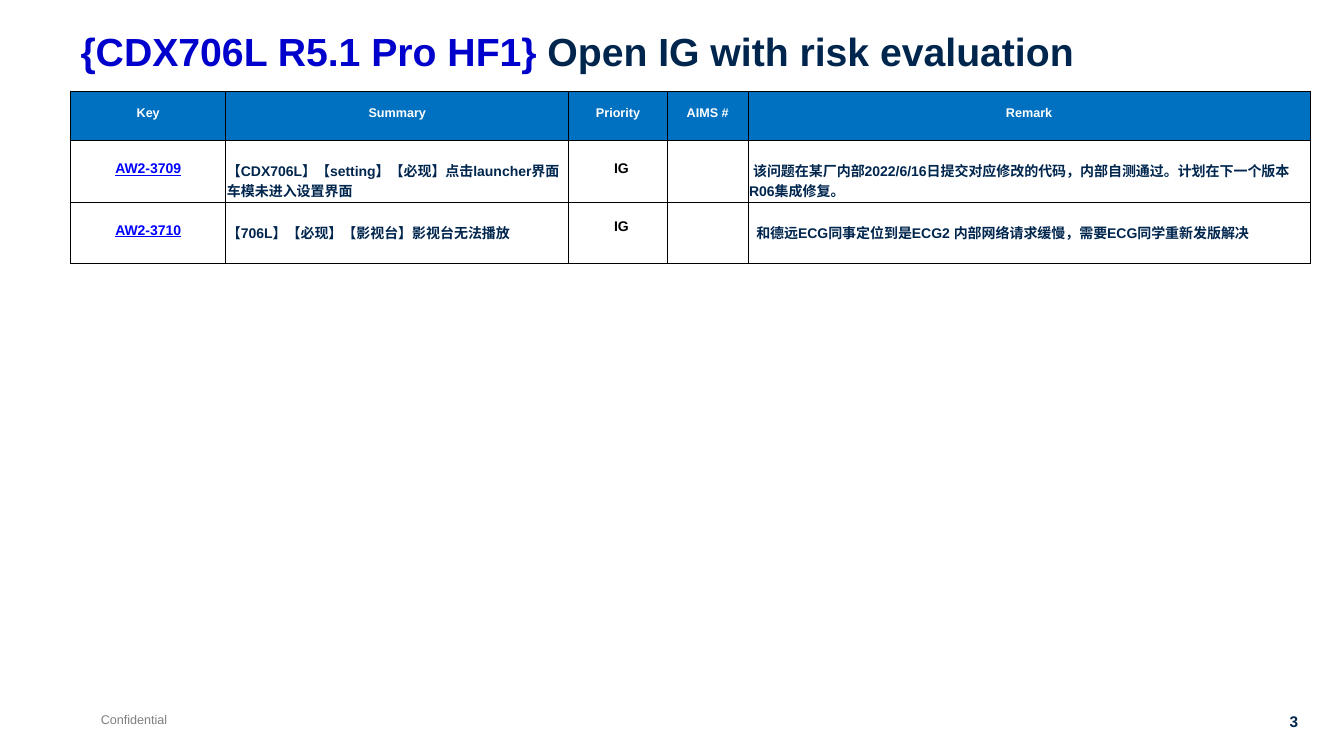
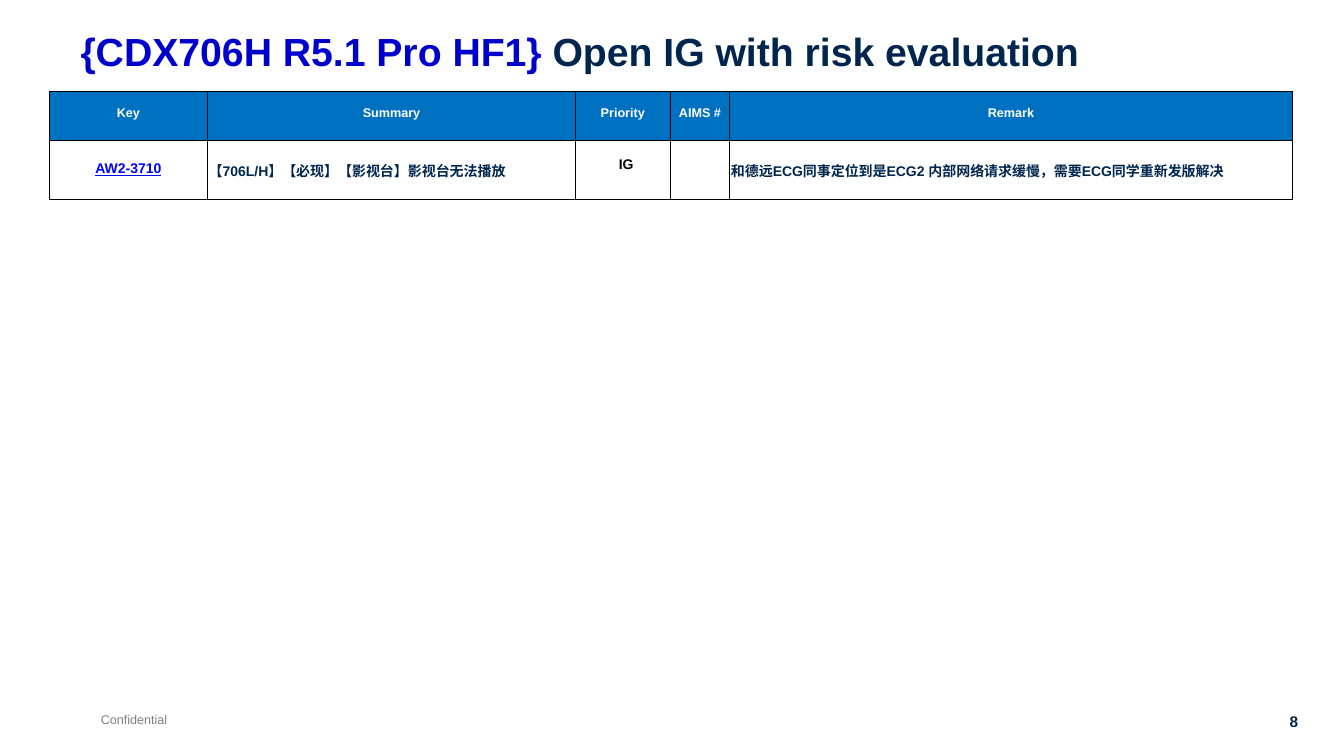
from lxml import etree
from pptx import Presentation
from pptx.dml.color import RGBColor
from pptx.enum.text import PP_ALIGN
from pptx.oxml.ns import qn
from pptx.util import Cm, Pt

LEFT, CENTER, RIGHT = PP_ALIGN.LEFT, PP_ALIGN.CENTER, PP_ALIGN.RIGHT
NAVY = RGBColor(0x00, 0x26, 0x4E)
TITLE_BLUE = RGBColor(0x00, 0x00, 0xCC)
HEADER_BLUE = RGBColor(0x00, 0x70, 0xC0)
LINK_BLUE = RGBColor(0x00, 0x00, 0xFF)
GREY = RGBColor(0x80, 0x80, 0x80)
WHITE = RGBColor(0xFF, 0xFF, 0xFF)
BLACK = RGBColor(0x00, 0x00, 0x00)
FONT = "Arial"

TITLE = "Open IG with risk evaluation"
FOOTER = "Confidential"
HEADERS = ["Key", "Summary", "Priority", "AIMS #", "Remark"]
TABLE_TOP = 2.31

# Lengths in cm; an issue's "ig_top" and "indent" place its priority and remark
SLIDES = [
    {
        "release": "{CDX706L R5.1 Pro HF1}",
        "page": 3,
        "left": 1.78,
        "cols": [3.91, 8.64, 2.49, 2.03, 14.17],
        "rows": [1.23, 1.56, 1.54],
        "issues": [
            {
                "cells": [
                    "AW2-3709",
                    "【CDX706L】【setting】【必现】点击launcher界面车模未进入设置界面",
                    "IG",
                    "",
                    "该问题在某厂内部2022/6/16日提交对应修改的代码，内部自测通过。计划在下一个版本R06集成修复。",
                ],
                "ig_top": 0.51,
                "indent": 0.1,
            },
            {
                "cells": [
                    "AW2-3710",
                    "【706L】【必现】【影视台】影视台无法播放",
                    "IG",
                    "",
                    "和德远ECG同事定位到是ECG2 内部网络请求缓慢，需要ECG同学重新发版解决",
                ],
                "ig_top": 0.41,
                "indent": 0.18,
            },
        ],
    },
    {
        "release": "{CDX706H R5.1 Pro HF1}",
        "page": 8,
        "left": 1.24,
        "cols": [3.99, 9.27, 2.39, 1.5, 14.17],
        "rows": [1.23, 1.49],
        "issues": [
            {
                "cells": [
                    "AW2-3710",
                    "【706L/H】【必现】【影视台】影视台无法播放",
                    "IG",
                    "",
                    "和德远ECG同事定位到是ECG2 内部网络请求缓慢，需要ECG同学重新发版解决",
                ],
                "ig_top": 0.41,
                "indent": 0,
            },
        ],
    },
]


def style(p, size, color, bold=True, align=LEFT):
    p.alignment = align
    p.font.name, p.font.size, p.font.bold = FONT, Pt(size), bold
    p.font.color.rgb = color


def add_text(s, box, text, wrap=False):
    """Add a text box at (left, top, width, height) in cm; return its paragraph."""
    tf = s.shapes.add_textbox(*map(Cm, box)).text_frame
    tf.word_wrap = wrap
    p = tf.paragraphs[0]
    if text:
        p.text = text
    return p


def add_title(s, release):
    p = add_text(s, (1.78, 0.69, 30.1, 1.6), "", wrap=True)
    style(p, 28, NAVY)
    p.line_spacing = 0.9
    r = p.add_run()
    r.text = release + " "
    r.font.color.rgb = TITLE_BLUE
    p.add_run().text = TITLE


def add_footer(s, page):
    style(add_text(s, (2.29, 17.81, 2.21, 0.64), FOOTER), 9, GREY, bold=False)
    style(add_text(s, (31.98, 17.81, 0.99, 0.74), str(page)), 11, NAVY, align=RIGHT)


def add_borders(cell):
    tc_pr = cell._tc.get_or_add_tcPr()
    for side in ("lnL", "lnR", "lnT", "lnB"):
        ln = etree.SubElement(tc_pr, qn("a:" + side), w=str(Pt(0.5)))
        fill = etree.SubElement(ln, qn("a:solidFill"))
        etree.SubElement(fill, qn("a:srgbClr"), val=str(BLACK))


def fill_cell(cell, text, top, size, color, align=CENTER, left=0.03, fill=None):
    """Write one bordered cell; top and left are its insets in cm."""
    cell.margin_left, cell.margin_top = Cm(left), Cm(top)
    cell.margin_right, cell.margin_bottom = Cm(0.03), 0
    add_borders(cell)
    if fill is None:
        cell.fill.background()
    else:
        cell.fill.solid()
        cell.fill.fore_color.rgb = fill
    p = cell.text_frame.paragraphs[0]
    if text:
        p.text = text
    style(p, size, color, align=align)
    return p


def add_issue_table(s, data):
    cols, rows = data["cols"], data["rows"]
    frame = s.shapes.add_table(len(rows), len(cols), Cm(data["left"]), Cm(TABLE_TOP),
                               Cm(sum(cols)), Cm(sum(rows)))
    table = frame.table
    table.first_row = table.horz_banding = False
    for col, width in zip(table.columns, cols):
        col.width = Cm(width)
    for row, height in zip(table.rows, rows):
        row.height = Cm(height)

    for c, header in enumerate(HEADERS):
        fill_cell(table.cell(0, c), header, 0.36, 9, WHITE, fill=HEADER_BLUE)
    for i, issue in enumerate(data["issues"], 1):
        key, summary, priority, aims, remark = issue["cells"]
        p = fill_cell(table.cell(i, 0), key, 0.51, 10, LINK_BLUE)
        p.font.underline = True
        fill_cell(table.cell(i, 1), summary, 0.51, 10, NAVY, LEFT)
        fill_cell(table.cell(i, 2), priority, issue["ig_top"], 10, BLACK, left=0.2)
        fill_cell(table.cell(i, 3), aims, 0.51, 10, NAVY)
        p = fill_cell(table.cell(i, 4), remark, 0.51, 10, NAVY, LEFT)
        p._p.get_or_add_pPr().set("indent", str(Cm(issue["indent"])))


def main():
    prs = Presentation()
    prs.slide_width, prs.slide_height = Cm(33.87), Cm(19.05)
    for data in SLIDES:
        s = prs.slides.add_slide(prs.slide_layouts[6])
        add_footer(s, data["page"])
        add_title(s, data["release"])
        add_issue_table(s, data)
    prs.save("out.pptx")


if __name__ == "__main__":
    main()
